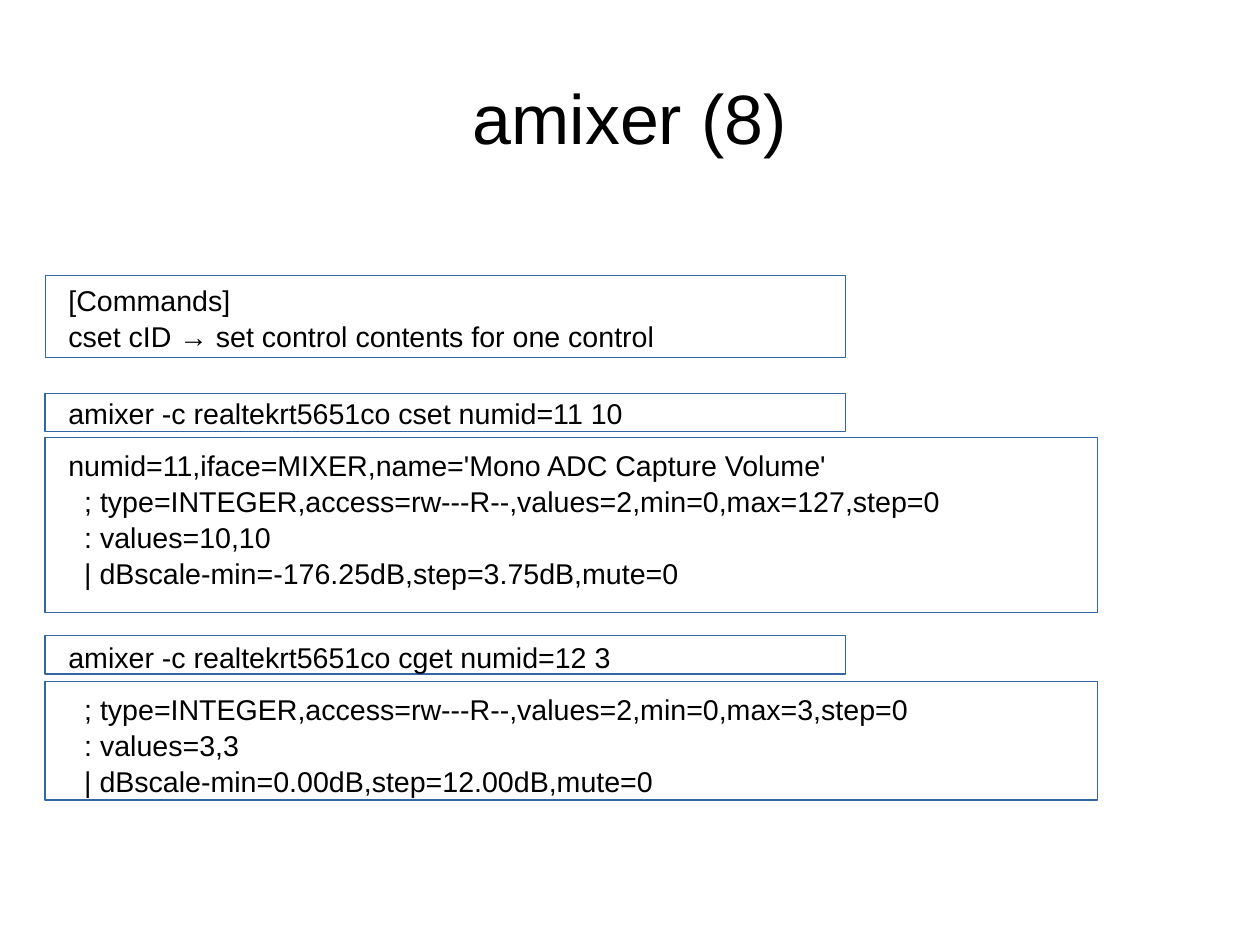
"""Build the amixer (8) slide: framed commands and their terminal output."""
from dataclasses import dataclass

from pptx import Presentation
from pptx.dml.color import RGBColor
from pptx.enum.shapes import MSO_SHAPE
from pptx.enum.text import MSO_ANCHOR, MSO_AUTO_SIZE, PP_ALIGN
from pptx.util import Cm, Pt


@dataclass(frozen=True)
class Theme:
    font: str = "Arial"
    ink: RGBColor = RGBColor(0, 0, 0)
    frame: RGBColor = RGBColor(0x34, 0x65, 0xA4)
    title: Pt = Pt(44)
    body: Pt = Pt(18)


theme = Theme()


def add_run(p, text, size):
    r = p.add_run()
    r.text = text
    r.font.name = theme.font
    r.font.size = size
    r.font.color.rgb = theme.ink


prs = Presentation()
prs.slide_width, prs.slide_height = Cm(28), Cm(21)
s = prs.slides.add_slide(prs.slide_layouts[5])

title = s.shapes.title
title.left, title.top, title.width, title.height = Cm(1.4), Cm(0.84), Cm(25.2), Cm(3.5)
tf = title.text_frame
tf.margin_left = tf.margin_right = tf.margin_top = tf.margin_bottom = 0
tf.vertical_anchor = MSO_ANCHOR.MIDDLE
tf.auto_size = MSO_AUTO_SIZE.NONE
tf.paragraphs[0].alignment = PP_ALIGN.CENTER
add_run(tf.paragraphs[0], "amixer (8)", theme.title)

panels = [
    ((1.02, 6.12, 17.78, 1.83), (6.12, 17.53, 1.68),
     ["[Commands]\ncset cID → set control contents for one control"]),
    ((1, 8.74, 17.8, 0.86), (8.64, 17.27, 0.97),
     ["amixer -c realtekrt5651co cset numid=11 10"]),
    ((1, 9.73, 23.4, 3.89), (9.8, 22.6, 3.81),
     ["numid=11,iface=MIXER,name='Mono ADC Capture Volume'",
      "  ; type=INTEGER,access=rw---R--,values=2,min=0,max=127,step=0",
      "  : values=10,10",
      "  | dBscale-min=-176.25dB,step=3.75dB,mute=0"]),
    ((1, 14.12, 17.8, 0.86), (14.05, 17.27, 0.97),
     ["amixer -c realtekrt5651co cget numid=12 3"]),
    ((1, 15.14, 23.4, 2.64), (15.21, 23.37, 3.1),
     ["  ; type=INTEGER,access=rw---R--,values=2,min=0,max=3,step=0",
      "  : values=3,3",
      "  | dBscale-min=0.00dB,step=12.00dB,mute=0"]),
]

for frame_box, (top, width, height), lines in panels:
    frame = s.shapes.add_shape(MSO_SHAPE.RECTANGLE, *map(Cm, frame_box))
    frame.shadow.inherit = False
    frame.fill.background()
    frame.line.color.rgb = theme.frame
    frame.line.width = Pt(0)

    sp = s.shapes.add_textbox(Cm(1.27), Cm(top), Cm(width), Cm(height))
    tf = sp.text_frame
    tf.word_wrap = True
    for i, line in enumerate(lines):
        p = tf.add_paragraph() if i else tf.paragraphs[0]
        p.line_spacing = 1.05
        for j, part in enumerate(line.split("\n")):
            if j:
                p.add_line_break()
            add_run(p, part, theme.body)

prs.save("out.pptx")
